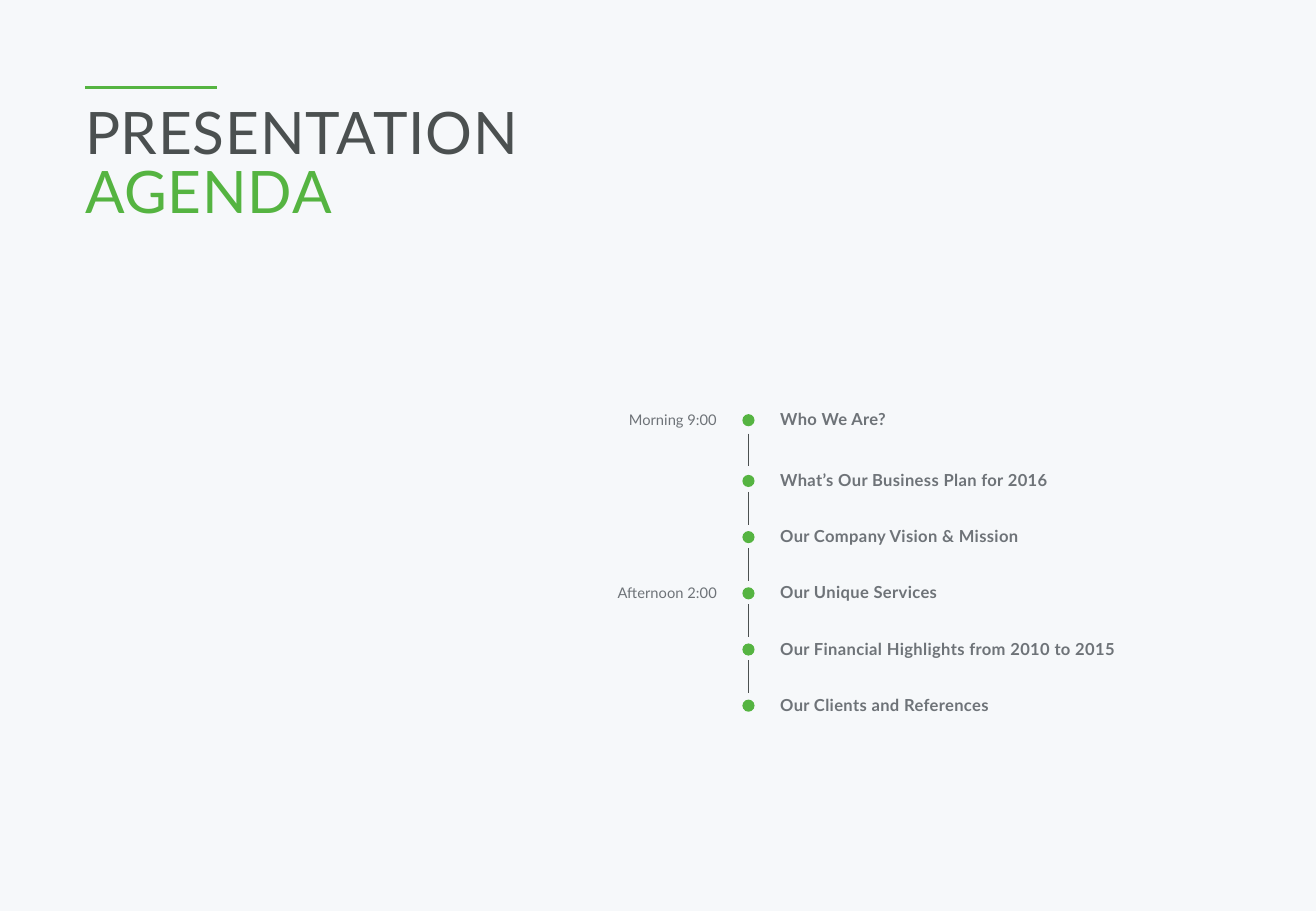
"""Build the presentation agenda slide with a vertical timeline."""
from lxml import etree
from pptx import Presentation
from pptx.dml.color import RGBColor
from pptx.enum.shapes import MSO_CONNECTOR, MSO_SHAPE
from pptx.enum.text import MSO_AUTO_SIZE, PP_ALIGN
from pptx.oxml.ns import qn
from pptx.util import Inches, Pt

STRAIGHT = MSO_CONNECTOR.STRAIGHT
OVAL = MSO_SHAPE.OVAL
LEFT, RIGHT = PP_ALIGN.LEFT, PP_ALIGN.RIGHT
FIT_SHAPE = MSO_AUTO_SIZE.SHAPE_TO_FIT_TEXT
GREEN, DARK, GRAY, BACKGROUND = "55B441", "4B5050", "6E7378", "F6F8FA"

presentation = Presentation()
presentation.slide_width = Inches(10.83)
presentation.slide_height = Inches(7.5)
slide = presentation.slides.add_slide(presentation.slide_layouts[6])
slide.background.fill.solid()
slide.background.fill.fore_color.rgb = RGBColor.from_string(BACKGROUND)


def add_text(box, lines, size, colors, bold=False, align=LEFT, tracking=0, leading=None):
    shape = slide.shapes.add_textbox(*[Inches(value) for value in box])
    frame = shape.text_frame
    frame.margin_left = frame.margin_top = frame.margin_right = frame.margin_bottom = 0
    frame.word_wrap = True
    frame.auto_size = FIT_SHAPE
    frame.text = "\n".join(lines)
    for paragraph, color in zip(frame.paragraphs, colors):
        paragraph.alignment = align
        if leading:
            paragraph.line_spacing = Pt(leading)
        run = paragraph.runs[0]
        run.font.name = "Lato"
        run.font.size = Pt(size)
        run.font.bold = bold
        run.font.color.rgb = RGBColor.from_string(color)
        if tracking:
            run._r.get_or_add_rPr().set("spc", str(round(tracking * 100)))


def add_line(start_x, start_y, end_x, end_y, color, width):
    points = [Inches(value) for value in (start_x, start_y, end_x, end_y)]
    connector = slide.shapes.add_connector(STRAIGHT, *points)
    connector.line.color.rgb = RGBColor.from_string(color)
    connector.line.width = Pt(width)
    etree.SubElement(connector._element.spPr, qn("a:effectLst"))


agenda = [
    ("Morning 9:00", "Who We Are?"),
    ("", "What’s Our Business Plan for 2016"),
    ("", "Our Company Vision & Mission"),
    ("Afternoon 2:00", "Our Unique Services"),
    ("", "Our Financial Highlights from 2010 to 2015"),
    ("", "Our Clients and References"),
]
row_pitch = 0.4625
row_tops = [3.37] + [3.87 + row_pitch * row for row in range(5)]
line_tops = [3.57] + [4.05 + row_pitch * row for row in range(4)]
axis_x, dot_size = 6.16, 0.1

for top, (time, topic) in zip(row_tops, agenda):
    add_text((6.42, top, 3.71, 0.16), [topic], 9.8, [GRAY], bold=True, tracking=0.2)
    if time:
        add_text((4.78, top + 0.01, 1.12, 0.15), [time], 8.7, [GRAY], align=RIGHT)
    dot = slide.shapes.add_shape(OVAL, Inches(axis_x - dot_size / 2), Inches(top + 0.04),
                                 Inches(dot_size), Inches(dot_size))
    dot.shadow.inherit = False
    dot.fill.solid()
    dot.fill.fore_color.rgb = RGBColor.from_string(GREEN)
    dot.line.fill.background()

for top in line_tops:
    add_line(axis_x, top, axis_x, top + 0.27, DARK, 0.75)

add_text((0.7, 0.89, 9.43, 0.98), ["PRESENTATION", "AGENDA"], 34.7, [DARK, GREEN],
         tracking=0.5, leading=34.7)
add_line(0.7, 0.72, 1.79, 0.72, GREEN, 2.25)

presentation.save("out.pptx")
